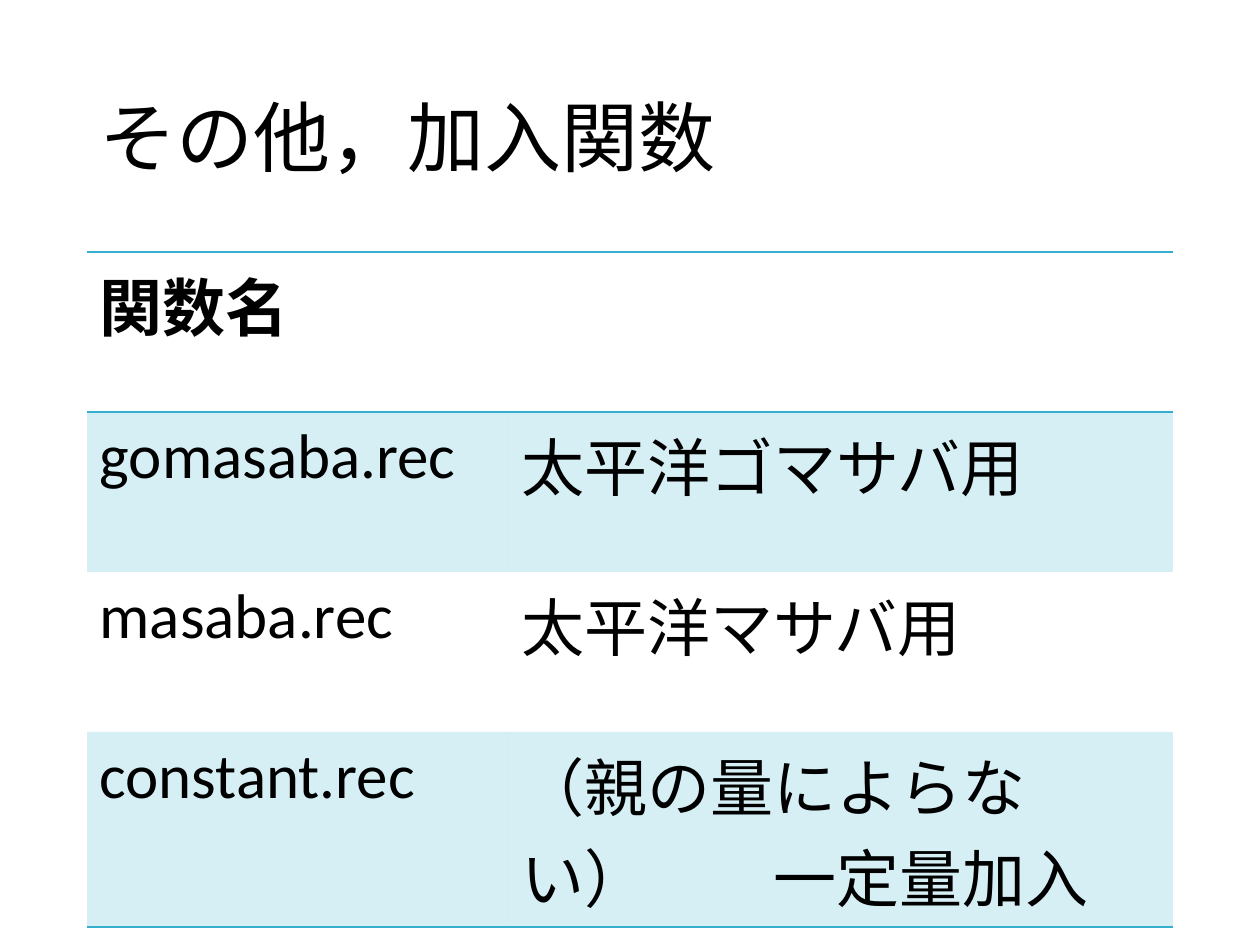
from pptx import Presentation
from pptx.dml.color import RGBColor
from pptx.enum.text import MSO_ANCHOR
from pptx.oxml.ns import qn
from pptx.util import Pt
from lxml import etree

MIDDLE = MSO_ANCHOR.MIDDLE
PX = 914400 / 126
FONT = "Calibri"
COLORS = {"ink": "000000", "teal": "36AFCE"}
ROWS = [
    ["関数名", ""],
    ["gomasaba.rec", "太平洋ゴマサバ用"],
    ["masaba.rec", "太平洋マサバ用"],
    ["constant.rec", "（親の量によらない）　　一定量加入"],
]
WIDTHS = [422, 664]
HEIGHTS = [160, 160, 160, 195]
RULES = {0, 1, len(ROWS)}


def px(n):
    return round(n * PX)


def write(para, text, size, bold=False):
    run = para.add_run()
    run.text = text
    run.font.name = FONT
    run.font.size = Pt(size)
    run.font.bold = bold
    run.font.color.rgb = RGBColor.from_string(COLORS["ink"])


deck = Presentation()
deck.slide_width = px(1260)
deck.slide_height = px(945)
slide = deck.slides.add_slide(deck.slide_layouts[6])

title = slide.shapes.add_textbox(px(87), px(50), px(1086), px(183))
frame = title.text_frame
frame.word_wrap = True
frame.vertical_anchor = MIDDLE
frame.paragraphs[0].line_spacing = 0.9
write(frame.paragraphs[0], "その他，加入関数", 44)

table = slide.shapes.add_table(
    len(ROWS), len(WIDTHS), px(87), px(252), px(sum(WIDTHS)), px(sum(HEIGHTS))
).table
table.horz_banding = False
for col, wide in zip(table.columns, WIDTHS):
    col.width = px(wide)

for r, row in enumerate(ROWS):
    table.rows[r].height = px(HEIGHTS[r])
    for c, text in enumerate(row):
        cell = table.cell(r, c)
        if text:
            write(cell.text_frame.paragraphs[0], text, 36, r == 0)
        props = cell._tc.get_or_add_tcPr()
        if r % 2:
            cell.fill.solid()
            cell.fill.fore_color.rgb = RGBColor.from_string(COLORS["teal"])
            tint = props.find(".//" + qn("a:srgbClr"))
            etree.SubElement(tint, qn("a:alpha"), val="20000")
        else:
            cell.fill.background()
        sides = {"lnL": False, "lnR": False, "lnT": r in RULES, "lnB": r + 1 in RULES}
        for i, (side, shown) in enumerate(sides.items()):
            line = etree.Element(qn("a:" + side), w=str(Pt(1)))
            if shown:
                fill = etree.SubElement(line, qn("a:solidFill"))
                etree.SubElement(fill, qn("a:srgbClr"), val=COLORS["teal"])
            else:
                etree.SubElement(line, qn("a:noFill"))
            props.insert(i, line)

deck.save("out.pptx")
